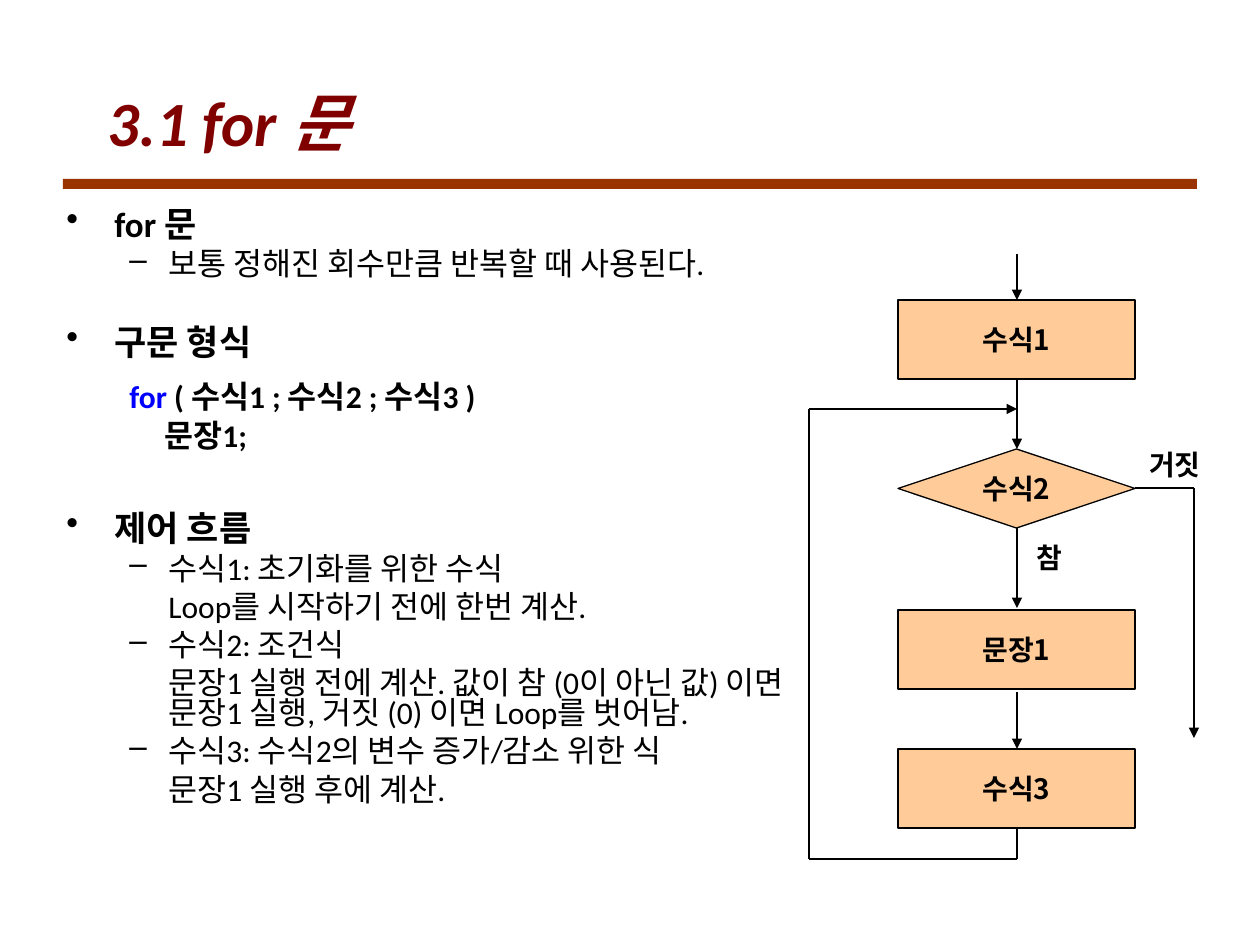
from typing import NamedTuple

from lxml.etree import SubElement
from pptx import Presentation
from pptx.dml.color import RGBColor
from pptx.enum.shapes import MSO_CONNECTOR, MSO_SHAPE
from pptx.enum.text import MSO_ANCHOR, PP_ALIGN
from pptx.oxml.ns import qn
from pptx.util import Emu, Pt

PX_PER_INCH = 126
COLORS = {
    "title": "800000",
    "rule": "993300",
    "text": "000000",
    "keyword": "0000FF",
    "node": "FFCC99",
}
BODY_FONT = "Calibri"
FLOW_FONT = "Noto Sans CJK KR"


class Line(NamedTuple):
    """One body paragraph; margin and hanging in px, size and before in points."""
    text: str
    margin: int
    hanging: int = 0
    bullet: str = ""
    size: int = 18
    bold: bool = False
    before: float = 4.5
    keyword: str = ""


class Node(NamedTuple):
    text: str
    top: int
    shape: MSO_SHAPE = MSO_SHAPE.FLOWCHART_PROCESS


class Link(NamedTuple):
    start: tuple[int, int]
    end: tuple[int, int]
    arrow: bool = False


class Label(NamedTuple):
    text: str
    left: int
    top: int
    width: int


def px(length: int) -> Emu:
    return Emu(round(length * 914400 / PX_PER_INCH))


def color(name: str) -> RGBColor:
    return RGBColor.from_string(COLORS[name])


def heading(text: str, before: float) -> Line:
    return Line(text, 48, 48, "•", 20, True, before)


def item(text: str) -> Line:
    return Line(text, 102, 39, "–")


def detail(text: str) -> Line:
    return Line(text, 102)


def set_font(para, name: str, size: int, ink: str, bold: bool) -> None:
    font = para.font
    font.name, font.size, font.bold = name, Pt(size), bold
    font.color.rgb = color(ink)


def add_box(page, left: int, top: int, width: int, height: int, wrap: bool = True):
    box = page.shapes.add_textbox(px(left), px(top), px(width), px(height))
    box.text_frame.word_wrap = wrap
    return box.text_frame


def add_body_line(para, line: Line) -> None:
    properties = para._p.get_or_add_pPr()
    properties.set("marL", str(px(line.margin)))
    properties.set("indent", str(-px(line.hanging)))
    para.line_spacing = 0.8
    para.space_before = Pt(line.before)
    if line.bullet:
        SubElement(properties, qn("a:buChar"), char=line.bullet)
    set_font(para, BODY_FONT, line.size, "text", line.bold)
    if line.keyword:
        span = para.add_run()
        span.text = line.keyword
        span.font.color.rgb = color("keyword")
    para.add_run().text = line.text


def add_node(page, node: Node) -> None:
    shape = page.shapes.add_shape(
        node.shape, px(NODE_LEFT), px(node.top), px(NODE_WIDTH), px(NODE_HEIGHT))
    shape.shadow.inherit = False
    shape.fill.solid()
    shape.fill.fore_color.rgb = color("node")
    shape.line.color.rgb = color("text")
    shape.line.width = Pt(0.75)
    frame = shape.text_frame
    frame.word_wrap = False
    frame.vertical_anchor = MSO_ANCHOR.MIDDLE
    para = frame.paragraphs[0]
    para.text = node.text
    para.alignment = PP_ALIGN.CENTER
    set_font(para, FLOW_FONT, 16, "text", True)


def add_link(page, link: Link) -> None:
    connector = page.shapes.add_connector(
        MSO_CONNECTOR.STRAIGHT, *map(px, link.start + link.end))
    connector.line.color.rgb = color("text")
    connector.line.width = Pt(0.75)
    if link.arrow:
        SubElement(connector.line._get_or_add_ln(), qn("a:tailEnd"), type="triangle")
    SubElement(connector._element.spPr, qn("a:effectLst"))


def add_label(page, label: Label) -> None:
    para = add_box(page, label.left, label.top, label.width, 47, False).paragraphs[0]
    para.text = label.text
    set_font(para, FLOW_FONT, 16, "text", True)


BODY = [
    heading("for 문", 0),
    item("보통 정해진 회수만큼 반복할 때 사용된다."),
    heading("구문 형식", 26.5),
    Line(" ( 수식1 ; 수식2 ; 수식3 )", 63, bold=True, before=13, keyword="for"),
    Line("문장1;", 98, bold=True),
    heading("제어 흐름", 35),
    item("수식1: 초기화를 위한 수식"),
    detail("Loop를 시작하기 전에 한번 계산."),
    item("수식2: 조건식"),
    detail("문장1 실행 전에 계산. 값이 참 (0이 아닌 값) 이면 문장1 실행, "
           "거짓 (0) 이면 Loop를 벗어남."),
    item("수식3: 수식2의 변수 증가/감소 위한 식"),
    detail("문장1 실행 후에 계산."),
]

# Flowchart geometry
NODE_LEFT, NODE_WIDTH, NODE_HEIGHT = 898, 237, 79
AXIS, LOOP_X, EXIT_X = 1017, 809, 1194
LOOP_TOP, LOOP_BOTTOM, EXIT_Y = 409, 859, 488
NODES = [
    Node("수식1", 300),
    Node("수식2", 449, MSO_SHAPE.FLOWCHART_DECISION),
    Node("문장1", 610),
    Node("수식3", 749),
]
LINKS = [
    Link((AXIS, 254), (AXIS, 300), True),
    Link((AXIS, 379), (AXIS, 449), True),
    Link((AXIS, 528), (AXIS, 608), True),
    Link((AXIS, 692), (AXIS, 749), True),
    # Loop back to the condition
    Link((AXIS, 828), (AXIS, LOOP_BOTTOM)),
    Link((AXIS, LOOP_BOTTOM), (LOOP_X, LOOP_BOTTOM)),
    Link((LOOP_X, LOOP_BOTTOM), (LOOP_X, LOOP_TOP)),
    Link((LOOP_X, LOOP_TOP), (AXIS, LOOP_TOP), True),
    # Exit when false
    Link((NODE_LEFT + NODE_WIDTH, EXIT_Y), (EXIT_X, EXIT_Y)),
    Link((EXIT_X, EXIT_Y), (EXIT_X, 738), True),
]
LABELS = [Label("참", 1024, 534, 50), Label("거짓", 1137, 441, 77)]


def main() -> None:
    deck = Presentation()
    deck.slide_width, deck.slide_height = px(1260), px(945)
    page = deck.slides.add_slide(deck.slide_layouts[6])

    # Title and rule
    rule = page.shapes.add_shape(MSO_SHAPE.RECTANGLE, px(63), px(179), px(1134), px(10))
    rule.shadow.inherit = False
    rule.fill.solid()
    rule.fill.fore_color.rgb = color("rule")
    rule.line.fill.background()
    title = add_box(page, 95, 63, 1071, 116)
    title.vertical_anchor = MSO_ANCHOR.MIDDLE
    title.paragraphs[0].text = "3.1 for 문"
    title.paragraphs[0].font.italic = True
    set_font(title.paragraphs[0], BODY_FONT, 36, "title", True)

    # Explanation
    body = add_box(page, 54, 204, 764, 714)
    for index, line in enumerate(BODY):
        add_body_line(body.add_paragraph() if index else body.paragraphs[0], line)

    # Flowchart
    for node in NODES:
        add_node(page, node)
    for link in LINKS:
        add_link(page, link)
    for label in LABELS:
        add_label(page, label)

    deck.save("out.pptx")


if __name__ == "__main__":
    main()
